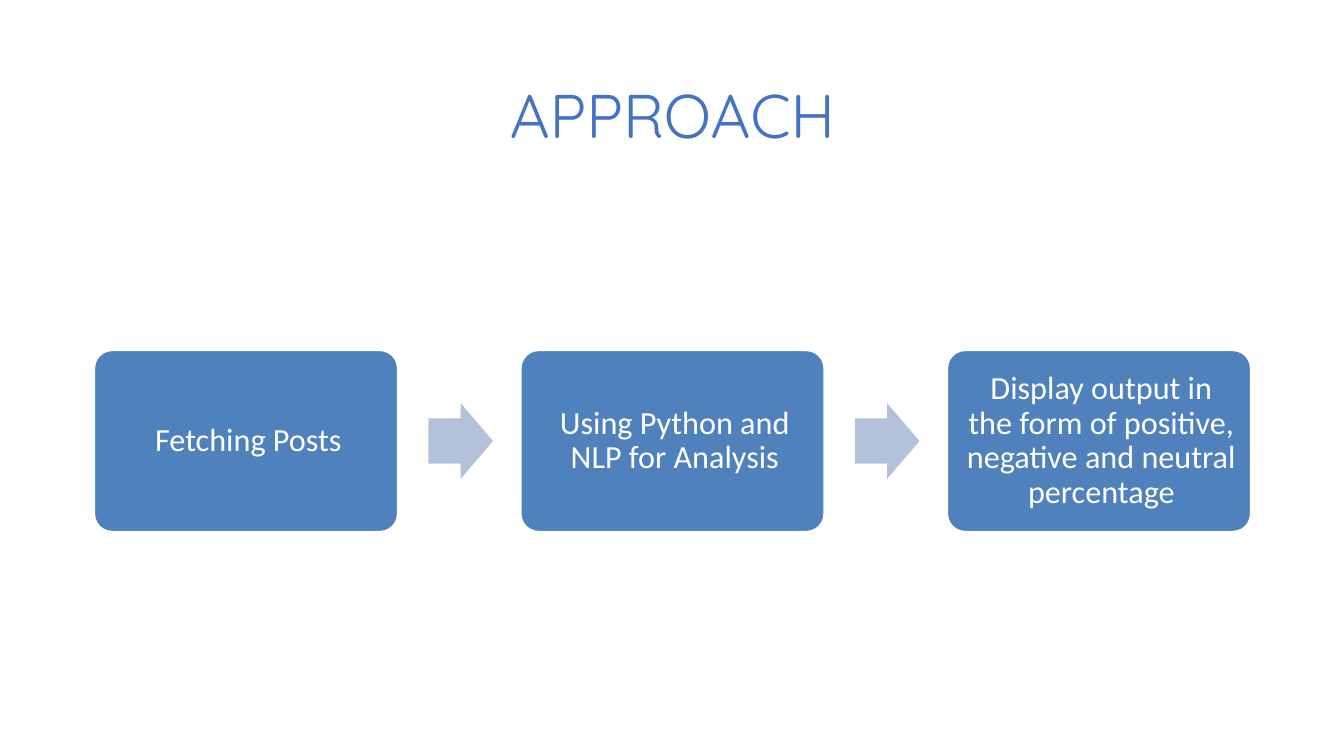
import pptx
import pptx.dml.color
import pptx.enum.shapes
import pptx.enum.text
import pptx.util

Inches = pptx.util.Inches
Pt = pptx.util.Pt
SHAPE = pptx.enum.shapes.MSO_SHAPE

STEPS = [
    "Fetching Posts",
    "Using Python and NLP for Analysis",
    "Display output in the form of positive, negative and neutral percentage",
]


def rgb(value):
    return pptx.dml.color.RGBColor.from_string(value)


def set_text(sp, text, font, size, color):
    """Write one centred paragraph and return it."""
    tf = sp.text_frame
    tf.word_wrap = True
    tf.vertical_anchor = pptx.enum.text.MSO_ANCHOR.MIDDLE
    tf.text = text
    p = tf.paragraphs[0]
    p.alignment = pptx.enum.text.PP_ALIGN.CENTER
    r = p.runs[0]
    r.font.name = font
    r.font.size = Pt(size)
    r.font.color.rgb = rgb(color)
    return p


def add_filled(s, kind, left, top, width, height, fill, adjustments):
    sp = s.shapes.add_shape(kind, Inches(left), Inches(top), Inches(width), Inches(height))
    sp.shadow.inherit = False
    sp.fill.solid()
    sp.fill.fore_color.rgb = rgb(fill)
    sp.line.fill.background()
    for i, value in enumerate(adjustments):
        sp.adjustments[i] = value
    return sp


def add_title(s, left, top, width, height):
    sp = s.shapes.add_textbox(Inches(left), Inches(top), Inches(width), Inches(height))
    set_text(sp, "APPROACH", "Quicksand", 44, "4472C4")


def add_step(s, text, left, top, width, height):
    sp = add_filled(s, SHAPE.ROUNDED_RECTANGLE, left, top, width, height, "4F81BD", [0.1])
    sp.line.color.rgb = rgb("FFFFFF")
    sp.line.width = Pt(2)
    p = set_text(sp, text, "Calibri", 23, "FFFFFF")
    p.line_spacing = 0.9
    tf = sp.text_frame
    tf.margin_left = Inches(0.13)
    tf.margin_right = Inches(0.08)
    tf.margin_top = tf.margin_bottom = Inches(0.15)


def add_process(s, left, top, width, height):
    """Spread the steps over the width, with an arrow in each gap."""
    step_w = 3.02
    arrow_w, arrow_h, arrow_gap = 0.64, 0.75, 0.3
    pitch = (width - step_w) / (len(STEPS) - 1)
    for i, text in enumerate(STEPS):
        x = left + i * pitch
        add_step(s, text, x, top, step_w, height)
        if i < len(STEPS) - 1:
            add_filled(s, SHAPE.RIGHT_ARROW, x + step_w + arrow_gap,
                       top + (height - arrow_h) / 2, arrow_w, arrow_h,
                       "B3C1DB", [0.6, 0.5])


prs = pptx.Presentation()
prs.slide_width = Inches(13.33)
prs.slide_height = Inches(7.5)
s = prs.slides.add_slide(prs.slide_layouts[6])

# Heading
add_title(s, 0.92, 0.4, 11.5, 1.45)
# Process flow
add_process(s, 0.93, 3.47, 11.48, 1.81)

prs.save("out.pptx")
